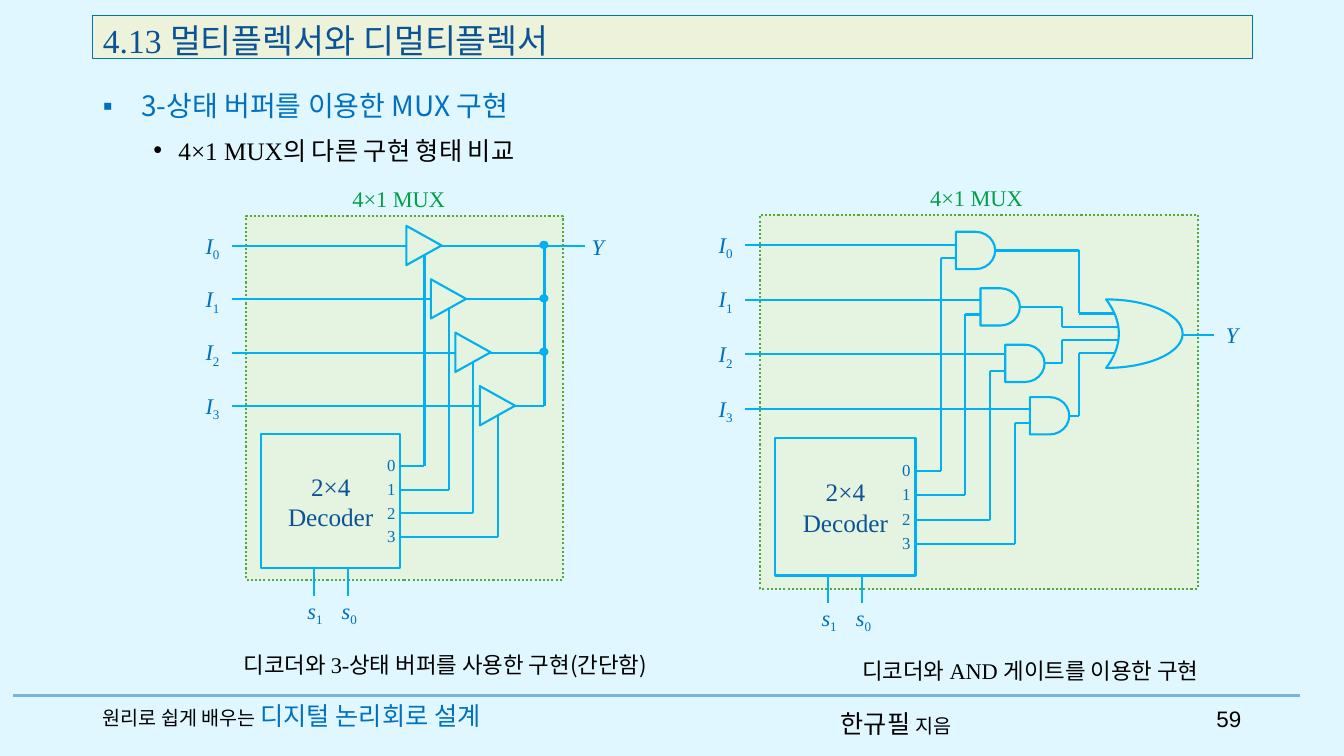
from dataclasses import dataclass

import pptx
import pptx.dml.color
import pptx.enum.dml
import pptx.enum.shapes
import pptx.enum.text
import pptx.oxml
import pptx.oxml.ns
import pptx.util

Inches, Pt = pptx.util.Inches, pptx.util.Pt
SHAPE = pptx.enum.shapes.MSO_SHAPE
ALIGN = pptx.enum.text.PP_ALIGN
ANCHOR = pptx.enum.text.MSO_ANCHOR
FIT = pptx.enum.text.MSO_AUTO_SIZE


@dataclass(frozen=True)
class Theme:
    serif: str = "Times New Roman"
    korean: str = "Noto Sans CJK KR"
    sans: str = "Arial"
    background: str = "E1F7FF"
    title_fill: str = "EDF3DB"
    title_text: str = "0B5394"
    blue: str = "0070C0"
    rule: str = "78B3E3"
    wire: str = "00B0F0"
    gate_fill: str = "E5F4E0"
    frame: str = "55A839"
    green: str = "00A048"
    black: str = "000000"
    title: int = 24
    heading: int = 20
    large: int = 18
    label: int = 16
    small: int = 14
    digit: int = 12
    wire_width: float = 1.5


THEME = Theme()


def rgb(value):
    return pptx.dml.color.RGBColor.from_string(value)


def apply_formats(target, formats):
    for name, value in formats.items():
        setattr(target, name, value)


# Text
def run(text, size, color=THEME.black, font=THEME.serif, italic=False, sub=False):
    return dict(text=text, size=size, color=color, font=font, italic=italic, sub=sub)


def symbol(letter, index=None):
    """An italic signal name with an optional subscript."""
    parts = [run(letter, THEME.label, THEME.blue, italic=True)]
    if index is not None:
        parts.append(run(str(index), THEME.label, THEME.blue, sub=True))
    return parts


def add_piece(paragraph, text, style):
    piece = paragraph.add_run()
    piece.text = text
    piece.font.color.rgb = rgb(style["color"])
    apply_formats(piece.font, {"size": Pt(style["size"]), "name": style["font"],
                               "italic": style["italic"], "bold": False})
    properties = piece.font._element
    east_asian = pptx.oxml.parse_xml(
        f'<a:ea {pptx.oxml.ns.nsdecls("a")} typeface="{THEME.korean}"/>')
    properties.find(pptx.oxml.ns.qn("a:latin")).addnext(east_asian)
    if style["sub"]:
        properties.set("baseline", "-25000")


def write(shape, runs, align=ALIGN.LEFT, anchor=ANCHOR.TOP, wrap=True, fit=FIT.NONE,
          before=0, spacing=1.0):
    frame = shape.text_frame
    apply_formats(frame, {"word_wrap": wrap, "auto_size": fit, "vertical_anchor": anchor})
    paragraph = frame.paragraphs[0]
    apply_formats(paragraph, {"alignment": align, "space_before": Pt(before),
                              "line_spacing": spacing})
    for style in runs:
        for number, line in enumerate(style["text"].split("\n")):
            if number:
                paragraph.add_line_break()
            add_piece(paragraph, line, style)
    return paragraph


def textbox(shapes, box, runs, **options):
    return write(shapes.add_textbox(*map(Inches, box)), runs, **options)


def label(shapes, x, y, width, height, runs):
    textbox(shapes, (x, y, width, height), runs, wrap=False, fit=FIT.SHAPE_TO_FIT_TEXT)


def place(shape, box):
    apply_formats(shape, dict(zip(("left", "top", "width", "height"), map(Inches, box))))


def bullet_list(placeholder, box, runs, char, margin, hanging, before=0):
    place(placeholder, box)
    paragraph = write(placeholder, runs, before=before)
    properties = paragraph._p.get_or_add_pPr()
    properties.set("marL", str(Inches(margin)))
    properties.set("indent", str(-Inches(hanging)))
    properties.append(pptx.oxml.parse_xml(
        f'<a:buChar {pptx.oxml.ns.nsdecls("a")} char="{char}"/>'))


# Shapes and wires
def block(shapes, kind, box, fill=THEME.gate_fill, line=THEME.wire, rotation=0):
    shape = shapes.add_shape(kind, *map(Inches, box))
    shape.shadow.inherit = False
    if fill:
        shape.fill.solid()
        shape.fill.fore_color.rgb = rgb(fill)
    else:
        shape.fill.background()
    shape.line.color.rgb = rgb(line)
    shape.line.width = Pt(THEME.wire_width)
    shape.rotation = rotation
    return shape


def wire(shapes, x1, y1, x2, y2, color=THEME.wire, width=THEME.wire_width):
    line = shapes.add_connector(pptx.enum.shapes.MSO_CONNECTOR.STRAIGHT,
                                *map(Inches, (x1, y1, x2, y2)))
    line.line.color.rgb = rgb(color)
    line.line.width = Pt(width)
    line._element.spPr.append(pptx.oxml.parse_xml(
        f'<a:effectLst {pptx.oxml.ns.nsdecls("a")}/>'))
    return line


# Parts that both circuits share
def mux_base(shapes, frame, decoder, title_x, start_x, rows, row_ends, columns, outputs, taps):
    boundary = block(shapes, SHAPE.RECTANGLE, frame, line=THEME.frame)
    boundary.line.dash_style = pptx.enum.dml.MSO_LINE.ROUND_DOT
    textbox(shapes, (title_x, frame[1] - 0.35, 1.35, 0.37),
            [run("4×1 MUX", THEME.label, THEME.green)], align=ALIGN.CENTER)

    left, top, width, height = decoder
    write(block(shapes, SHAPE.RECTANGLE, decoder, fill=None),
          [run("2×4\nDecoder", THEME.large, THEME.title_text)],
          align=ALIGN.CENTER, anchor=ANCHOR.MIDDLE)
    right, bottom = left + width, top + height
    for index, x in ((1, left + 0.52), (0, left + 0.86)):
        wire(shapes, x, bottom + 0.27, x, bottom)
        label(shapes, x - 0.16, bottom + 0.23, 0.36, 0.37, symbol("s", index))

    for i, (row, end, column, output, tap) in enumerate(
            zip(rows, row_ends, columns, outputs, taps)):
        label(shapes, start_x - 0.36, row - 0.19, 0.35, 0.37, symbol("I", i))
        wire(shapes, start_x, row, end, row)
        label(shapes, right - 0.23, output - 0.16, 0.29, 0.3,
              [run(str(i), THEME.digit, THEME.blue)])
        wire(shapes, right, output, column, output)
        wire(shapes, column, output, column, tap)


def steps(first, gap):
    return [first + gap * i for i in range(4)]


def buffer_mux(shapes):
    rows, columns = steps(2.44, 0.53), steps(4.21, 0.243)
    bus_x = 5.4
    mux_base(shapes, (2.44, 2.14, 3.14, 3.61), (2.59, 4.31, 1.38, 1.33), 3.28, 2.3,
             rows, [5.8] + [bus_x] * 3, columns, steps(4.62, 0.237),
             [row + 0.07 for row in rows])
    wire(shapes, bus_x, rows[3], bus_x, rows[0])
    for row, column in zip(rows, columns):
        block(shapes, SHAPE.ISOSCELES_TRIANGLE,
              (column - 0.2, row - 0.18, 0.39, 0.35), rotation=90)
    for row in rows[:3]:
        block(shapes, SHAPE.OVAL, (bus_x - 0.04, row - 0.04, 0.07, 0.06), fill=THEME.wire)
    label(shapes, 5.77, 2.26, 0.33, 0.37, symbol("Y"))


def and_or_mux(shapes):
    columns = steps(9.33, 0.245)
    gate_tops = (2.3, 2.86, 3.42, 3.94)
    taps = [top + 0.26 for top in gate_tops]
    mux_base(shapes, (7.54, 2.13, 4.34, 3.71), (7.69, 4.35, 1.39, 1.36), 9.01, 7.39,
             steps(2.43, 0.543), [column + 0.25 for column in columns], columns,
             steps(4.67, 0.243), taps)
    # AND gates, each wired to one OR input
    or_inputs = zip(steps(3.11, 0.13), (10.7, 10.53, 10.53, 10.7), (11.2, 11.46, 11.4, 11.2))
    for column, top, tap, (or_y, bend, or_x) in zip(columns, gate_tops, taps, or_inputs):
        wire(shapes, column, tap, column + 0.15, tap)
        gate = block(shapes, SHAPE.FLOWCHART_DELAY, (column + 0.15, top, 0.39, 0.37))
        middle = top + 0.185
        wire(shapes, column + 0.54, middle, bend, middle).begin_connect(gate, 3)
        wire(shapes, bend, middle, bend, or_y)
        wire(shapes, bend, or_y, or_x, or_y)
    # OR gate
    or_gate = block(shapes, SHAPE.MOON, (10.97, 2.97, 0.76, 0.68), rotation=180)
    or_gate.adjustments[0] = 0.833
    wire(shapes, 11.73, 3.32, 12.04, 3.32)
    label(shapes, 12.06, 3.14, 0.33, 0.37, symbol("Y"))


def headings(slide):
    title, topic, detail = slide.placeholders
    place(title, (0.92, 0.15, 11.5, 0.43))
    title.fill.solid()
    title.fill.fore_color.rgb = rgb(THEME.title_fill)
    title.line.color.rgb = rgb(THEME.blue)
    title.line.width = Pt(0.75)
    write(title, [run("4.13 멀티플렉서와 디멀티플렉서", THEME.title, THEME.title_text)])
    bullet_list(topic, (0.92, 0.83, 11.5, 0.44),
                [run("3-상태 버퍼를 이용한 MUX 구현", THEME.heading, THEME.blue, THEME.korean)],
                "▪", 0.38, 0.38)
    bullet_list(detail, (0.92, 1.29, 11.5, 0.4),
                [run("4×1 MUX의 다른 구현 형태 비교", THEME.large)], "•", 0.75, 0.25, before=5)


def captions(shapes):
    textbox(shapes, (1.79, 6.41, 5.25, 0.37),
            [run("디코더와 3-", THEME.label),
             run("상태 버퍼를 사용한 구현(간단함)", THEME.label, font=THEME.korean)],
            align=ALIGN.CENTER)
    textbox(shapes, (8.03, 6.31, 4.38, 0.48),
            [run("디코더와 AND 게이트를 이용한 ", THEME.label),
             run("구현", THEME.label, font=THEME.korean)],
            align=ALIGN.CENTER, spacing=1.6)


def footer(shapes):
    wire(shapes, 0.13, 6.9, 12.89, 6.9, THEME.rule, 2.5)
    textbox(shapes, (0.92, 6.9, 4.63, 0.4),
            [run("원리로 쉽게 배우는 ", THEME.small),
             run("디지털 논리회로 설계", THEME.large, THEME.blue)])
    textbox(shapes, (8.24, 6.98, 1.53, 0.4),
            [run("한규필 ", THEME.large, font=THEME.korean),
             run("지음", THEME.small, font=THEME.korean)])
    textbox(shapes, (11.79, 6.95, 0.62, 0.4),
            [run("59", THEME.label, font=THEME.sans)], align=ALIGN.RIGHT)


def main():
    deck = pptx.Presentation()
    apply_formats(deck, {"slide_width": Inches(13.33), "slide_height": Inches(7.5)})
    slide = deck.slides.add_slide(deck.slide_layouts.get_by_name("Two Content"))
    slide.background.fill.solid()
    slide.background.fill.fore_color.rgb = rgb(THEME.background)
    footer(slide.shapes)
    headings(slide)
    buffer_mux(slide.shapes.add_group_shape().shapes)
    and_or_mux(slide.shapes.add_group_shape().shapes)
    captions(slide.shapes)
    deck.save("out.pptx")


if __name__ == "__main__":
    main()
